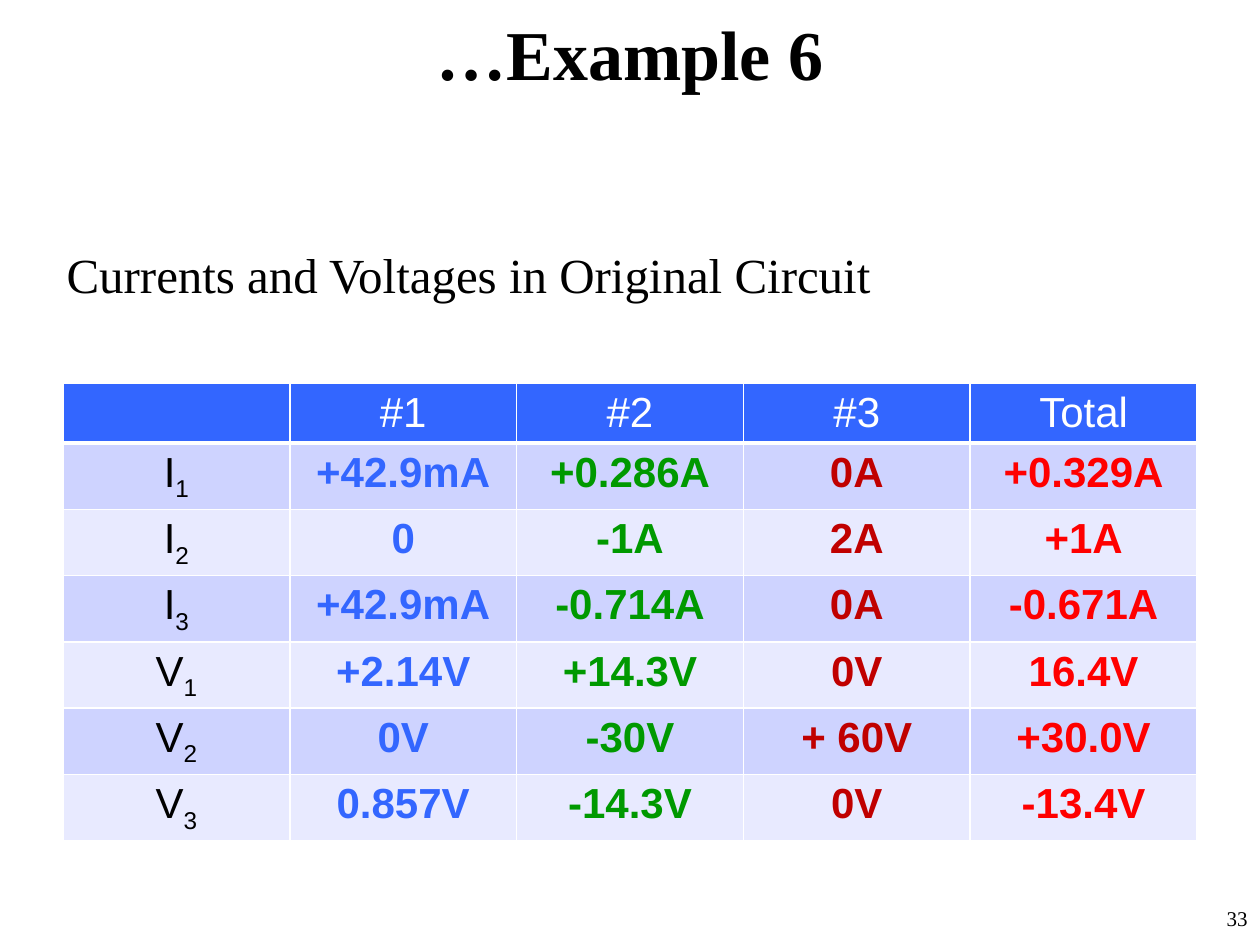
from dataclasses import dataclass

from lxml.etree import SubElement
from pptx import Presentation
from pptx.dml.color import RGBColor
from pptx.enum.text import MSO_ANCHOR as Anchor, PP_ALIGN as Align
from pptx.oxml.ns import qn
from pptx.util import Inches, Pt

WIDE, HIGH = Inches(10), Inches(7.5)
ROW = Inches(0.41)
BLACK = RGBColor(0x00, 0x00, 0x00)
WHITE = RGBColor(0xFF, 0xFF, 0xFF)
BLUE = RGBColor(0x33, 0x66, 0xFF)
GREEN = RGBColor(0x00, 0x99, 0x00)
MAROON = RGBColor(0xC0, 0x00, 0x00)
RED = RGBColor(0xFF, 0x00, 0x00)
BANDS = (RGBColor(0xE8, 0xEA, 0xFF), RGBColor(0xCE, 0xD3, 0xFF))
TINTS = (BLACK, BLUE, GREEN, MAROON, RED)
SERIF, SANS = "Times New Roman", "Arial"

DATA = (
    ("", "#1", "#2", "#3", "Total"),
    ("I1", "+42.9mA", "+0.286A", "0A", "+0.329A"),
    ("I2", "0", "-1A", "2A", "+1A"),
    ("I3", "+42.9mA", "-0.714A", "0A", "-0.671A"),
    ("V1", "+2.14V", "+14.3V", "0V", "16.4V"),
    ("V2", "0V", "-30V", "+ 60V", "+30.0V"),
    ("V3", "0.857V", "-14.3V", "0V", "-13.4V"),
)


@dataclass(frozen=True)
class Style:
    font: str
    size: float
    color: RGBColor = BLACK
    bold: bool = False


@dataclass(frozen=True)
class Box:
    """A place given as shares of the slide's size."""
    left: float
    top: float
    width: float
    height: float

    def scale(self) -> tuple[int, int, int, int]:
        return (int(self.left * WIDE), int(self.top * HIGH),
                int(self.width * WIDE), int(self.height * HIGH))


@dataclass(frozen=True)
class Note:
    text: str
    box: Box
    style: Style
    align: Align


NOTES = (
    Note("33", Box(0.792, 0.952, 0.208, 0.048), Style(SERIF, 12), Align.RIGHT),
    Note("Currents and Voltages in Original Circuit",
         Box(0.043, 0.252, 0.892, 0.076), Style(SERIF, 28), Align.LEFT),
)


def add_run(para, text: str, style: Style, base: int = 0) -> None:
    run = para.add_run()
    run.text = text
    font = run.font
    font.name, font.size, font.bold = style.font, Pt(style.size), style.bold
    font.color.rgb = style.color
    if base:
        run._r.get_or_add_rPr().set("baseline", str(base * 1000))


def add_note(slide, note: Note) -> None:
    frame = slide.shapes.add_textbox(*note.box.scale()).text_frame
    frame.word_wrap = True
    para = frame.paragraphs[0]
    para.alignment = note.align
    add_run(para, note.text, note.style)


def add_title(slide, text: str) -> None:
    title = slide.shapes.title
    title.left, title.top, title.width, title.height = Box(0, 0, 1, 0.112).scale()
    frame = title.text_frame
    frame.vertical_anchor = Anchor.MIDDLE
    para = frame.paragraphs[0]
    para.alignment = Align.CENTER
    add_run(para, text, Style(SERIF, 40, bold=True))


def set_edges(cell, foot: float) -> None:
    """Draw white borders, with the lower one as thick as foot."""
    props = cell._tc.get_or_add_tcPr()
    for side, width in (("L", 1), ("R", 1), ("T", 1), ("B", foot)):
        line = SubElement(props, qn(f"a:ln{side}"), w=str(Pt(width)))
        fill = SubElement(line, qn("a:solidFill"))
        SubElement(fill, qn("a:srgbClr"), val=str(WHITE))


def fill_cell(cell, text: str, row: int, col: int) -> None:
    head = row == 0
    set_edges(cell, 3 if head else 1)
    cell.fill.solid()
    cell.fill.fore_color.rgb = BLUE if head else BANDS[row % 2]
    para = cell.text_frame.paragraphs[0]
    para.alignment = Align.CENTER
    style = Style(SANS, 24, WHITE if head else TINTS[col], not head and col > 0)
    if head or col:
        if text:
            add_run(para, text, style)
    else:
        add_run(para, text[0], style)
        add_run(para, text[1:], style, -25)


def add_grid(slide) -> None:
    left, top, width, _ = Box(0.05, 0.406, 0.9, 0).scale()
    rows, cols = len(DATA), len(DATA[0])
    table = slide.shapes.add_table(rows, cols, left, top, width, ROW * rows).table
    for r, line in enumerate(DATA):
        table.rows[r].height = ROW
        for c, text in enumerate(line):
            fill_cell(table.cell(r, c), text, r, c)


def main() -> None:
    deck = Presentation()
    deck.slide_width, deck.slide_height = WIDE, HIGH
    slide = deck.slides.add_slide(deck.slide_layouts[5])
    add_title(slide, "…Example 6")
    add_grid(slide)
    for note in NOTES:
        add_note(slide, note)
    deck.save("out.pptx")


if __name__ == "__main__":
    main()
